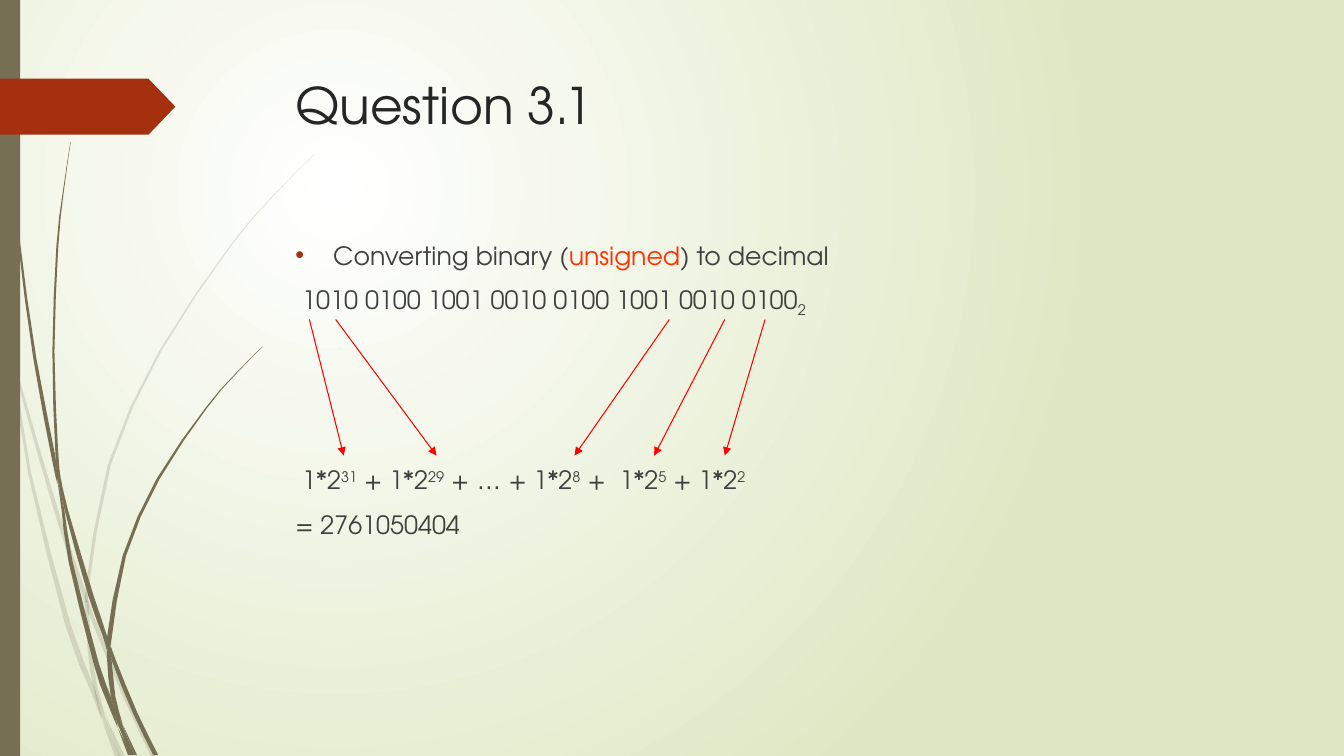
from lxml.etree import SubElement
from pptx import Presentation
from pptx.dml.color import RGBColor
from pptx.enum.shapes import MSO_CONNECTOR, MSO_SHAPE
from pptx.enum.text import MSO_ANCHOR, MSO_AUTO_SIZE, PP_ALIGN
from pptx.oxml.ns import qn
from pptx.util import Pt

COLOURS = {
    "centre": "FFFFFF", "edge": "DFE8C4", "grass": "766F54", "tag": "A53010",
    "title": "262626", "body": "404040", "accent": "FF3300", "arrow": "FF0000",
}
FONT = "TeX Gyre Adventor"
SUPER, SUB = 30, -25

# Pieces of grass: (centre x, y, width) from top to bottom
FAINT_GRASS = [
    [(0, 203, 0), (1.4, 215.3, 2.7), (5.1, 232, 2.7), (7.9, 252, 0)],
    [(10.1, 248.4, 0), (13, 271, 1.9), (43.2, 375, 3.2), (59.4, 422, 3.6), (60.5, 431.3, 0)],
    [(63.4, 429, 0), (64.8, 438, 3), (90, 499, 3.2), (109.8, 540.7, 3.6)],
    [(75.6, 512, 0), (87.5, 540.7, 3.6)],
    [(7.9, 252, 0), (11.2, 271, 2.1), (21.2, 338, 2.2), (48.6, 446.5, 4),
     (66.4, 493, 3.8), (72.7, 514, 0)],
    [(60.5, 431.3, 0), (62.3, 439, 2.6), (64.1, 465, 2.9), (68.4, 492, 3), (75.6, 512, 0)],
    [(224.6, 110.2, 0.2), (193, 142.2, 0.6), (164.5, 176, 1), (114.5, 250.7, 1.6),
     (78.1, 332, 2.2), (62.3, 420.5, 2.2), (63.4, 429, 0)],
    [(72.7, 514, 0), (83.9, 540.7, 3.6)],
    [(61.2, 422, 0), (62, 430, 2.9), (63.4, 439.2, 0)],
    [(67, 492, 0), (72.6, 509, 2.9), (85.7, 540.7, 0.6)],
]
SOLID_GRASS = [
    [(2.5, 0, 0.7), (5.4, 79, 0.9), (13, 168, 1.4), (24.8, 255.6, 2.2),
     (38.1, 326, 2.9), (41, 346, 0)],
    [(43.2, 340, 0), (47.3, 364, 2.4), (65, 425.5, 3.8), (74.8, 454, 3), (76.3, 464, 0)],
    [(79.2, 461.5, 0), (81.4, 472, 3), (96.4, 509, 3.3), (111.2, 539.3, 3.6)],
    [(41, 343, 0), (45, 364, 2), (50.4, 401, 2.9), (68.8, 474, 3.8),
     (77, 497.5, 4.3), (84.2, 520, 0)],
    [(50.4, 101.5, 0.2), (45, 139, 0.7), (41, 176, 1.4), (38.2, 251, 1.5),
     (40.6, 323, 2), (43.2, 340, 0)],
    [(87.8, 517.7, 0), (96.8, 539.3, 2.2)],
    [(39.6, 323, 0), (42, 341, 2.4), (46.1, 363.6, 0)],
    [(187.4, 247.7, 0.4), (166.5, 269, 0.8), (146.9, 292, 1.2), (113, 342, 2.2),
     (88.8, 397, 2.4), (78.2, 455, 3.4), (79.2, 461.5, 0)],
    [(84.2, 520, 0), (92.9, 539.3, 2.9)],
    [(76.3, 464, 0), (78.2, 472, 3.2), (80.8, 497.5, 3.2), (87.8, 517.7, 0)],
    [(76.3, 454, 0), (77.7, 463, 2.9), (79.9, 472, 0)],
    [(79.2, 497.5, 0), (85.2, 516, 3.2), (94.7, 539.3, 2.2)],
]

# Arrows from a binary digit to its power: (digit x, power x)
ARROWS = [(221, 245.5), (239.8, 311.8), (478.1, 410.4), (517.7, 467.3), (546.5, 517.7)]


def rgb(name):
    return RGBColor.from_string(COLOURS[name])


def paint(shape, name):
    shape.shadow.inherit = False
    shape.fill.solid()
    shape.fill.fore_color.rgb = rgb(name)
    shape.line.fill.background()


def add_span(para, text, colour="body", size=18, baseline=0, font=FONT):
    span = para.add_run()
    span.text = text
    span.font.name = font
    span.font.size = Pt(size)
    span.font.color.rgb = rgb(colour)
    if baseline:
        span.font._element.set("baseline", str(baseline * 1000))


def smooth(points):
    """Add the Catmull-Rom midpoint between neighbouring points."""
    ends = [points[0], *points, points[-1]]
    curve = []
    for a, b, c, d in zip(ends, ends[1:], ends[2:], ends[3:]):
        curve += [b, tuple((9 * (q + r) - p - s) / 16 for p, q, r, s in zip(a, b, c, d))]
    return curve + [points[-1]]


def add_background(page):
    fill = page.background.fill
    fill.gradient()
    for position, (stop, name) in enumerate(zip(fill.gradient_stops, ("centre", "edge"))):
        stop.color.rgb = rgb(name)
        stop.position = position
    gradient = page._element.find(".//" + qn("a:gradFill"))
    gradient.remove(gradient.find(qn("a:lin")))
    circle = SubElement(gradient, qn("a:path"), path="circle")
    SubElement(circle, qn("a:fillToRect"), l="50000", t="50000", r="100000", b="100000")


def add_grass(page, box, pieces, opacity):
    left, top, _, _ = box
    for piece in pieces:
        curve = smooth(piece)
        outline = [(x - w / 2, y) for x, y, w in curve]
        outline += [(x + w / 2, y) for x, y, w in reversed(curve)]
        outline = [(Pt(left + x), Pt(top + y)) for x, y in outline]
        builder = page.shapes.build_freeform(*outline[0])
        builder.add_line_segments(outline[1:], close=True)
        shape = builder.convert_to_shape()
        paint(shape, "grass")
        if opacity < 100:
            colour = shape._element.spPr.find(".//" + qn("a:srgbClr"))
            SubElement(colour, qn("a:alpha"), val=str(opacity * 1000))


def add_side_decoration(page, box):
    left, top, _, height = box
    add_grass(page, box, FAINT_GRASS, 20)
    add_grass(page, box, SOLID_GRASS, 100)
    # Edge bar and page tag
    bar = page.shapes.add_shape(MSO_SHAPE.RECTANGLE, Pt(left), Pt(top), Pt(14.4), Pt(height))
    paint(bar, "grass")
    tag = page.shapes.add_shape(MSO_SHAPE.PENTAGON, Pt(left), Pt(top + 56.2), Pt(125.3), Pt(40))
    tag.adjustments[0] = 0.48
    paint(tag, "tag")


def add_title(page, box):
    title = page.shapes.title
    title.left, title.top, title.width, title.height = map(Pt, box)
    frame = title.text_frame
    frame.auto_size = MSO_AUTO_SIZE.NONE
    frame.vertical_anchor = MSO_ANCHOR.TOP
    para = frame.paragraphs[0]
    para.alignment = PP_ALIGN.LEFT
    add_span(para, "Question 3.1", "title", 36)


def add_bullet(para):
    props = para._p.get_or_add_pPr()
    colour = SubElement(props, qn("a:buClr"))
    SubElement(colour, qn("a:srgbClr"), val=COLOURS["tag"])
    SubElement(props, qn("a:buFont"), typeface="Arial")
    SubElement(props, qn("a:buChar"), char="•")


def add_working(page, box):
    frame = page.shapes.add_textbox(*map(Pt, box)).text_frame
    frame.word_wrap = True
    # Each line: left margin, first-line indent, space before, spans
    lines = [
        (27, -27, 0, [("Converting binary (",), ("unsigned", "accent"), (") to decimal",)]),
        (5, 0, 10, [("1010 0100 1001 0010 0100 1001 0010 0100",), ("2", "body", 18, SUB)]),
        (5, 0, 104.4, [
            ("1*2",), ("31", "body", 18, SUPER), (" + 1*2",), ("29", "body", 18, SUPER),
            (" + ",), ("…", "body", 18, 0, "Arial"), (" + 1*2",), ("8", "body", 18, SUPER),
            (" +  1*2",), ("5", "body", 18, SUPER), (" + 1*2",), ("2", "body", 18, SUPER)]),
        (0, 0, 10.5, [("= 2761050404",)]),
    ]
    for number, (margin, indent, before, spans) in enumerate(lines):
        para = frame.add_paragraph() if number else frame.paragraphs[0]
        para.space_before = Pt(before)
        props = para._p.get_or_add_pPr()
        props.set("marL", str(Pt(margin)))
        props.set("indent", str(Pt(indent)))
        if number == 0:
            add_bullet(para)
        for span in spans:
            add_span(para, *span)


def add_arrows(page, box):
    left, top, _, height = box
    for digit_x, power_x in ARROWS:
        arrow = page.shapes.add_connector(
            MSO_CONNECTOR.STRAIGHT, Pt(left + digit_x), Pt(top),
            Pt(left + power_x), Pt(top + height))
        arrow.line.color.rgb = rgb("arrow")
        arrow.line.width = Pt(0.75)
        SubElement(arrow.line._get_or_add_ln(), qn("a:tailEnd"), type="triangle")
        SubElement(arrow._element.spPr, qn("a:effectLst"))


deck = Presentation()
deck.slide_width, deck.slide_height = Pt(960), Pt(540)
page = deck.slides.add_slide(deck.slide_layouts[5])
add_background(page)
add_side_decoration(page, (0, 0, 225, 540))
add_title(page, (203.9, 49, 702, 100.8))
add_working(page, (203.8, 167.8, 702, 297.4))
add_arrows(page, (0, 228.2, 960, 97.2))
deck.save("out.pptx")
